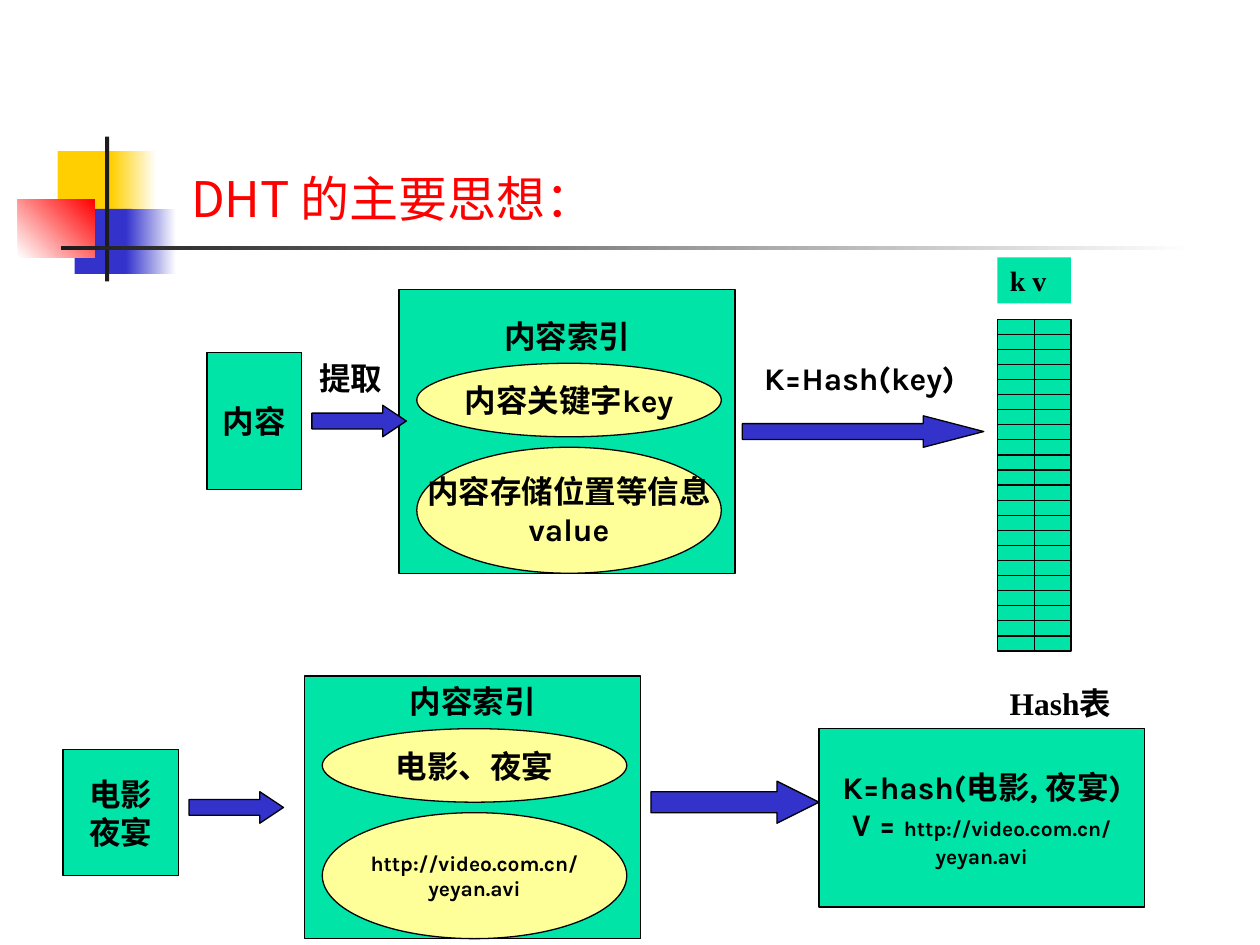
from dataclasses import dataclass
from typing import Optional

from lxml import etree
from pptx import Presentation
from pptx import util as u
from pptx.dml.color import RGBColor
from pptx.enum import shapes, text
from pptx.oxml import ns

COLUMNS, ROWS = 120, 90
GREEN, CREAM, BLUE = "00E4A8", "FFFF99", "3333CC"
YELLOW, RED, DARK, WHITE, BLACK = "FFCF01", "FF0000", "1C1C1C", "FFFFFF", "000000"
BODY, SERIF, CHINESE = "Karla", "Times New Roman", "Noto Sans CJK SC"
RECT, OVAL = shapes.MSO_SHAPE.RECTANGLE, shapes.MSO_SHAPE.OVAL
LEFT, CENTER = text.PP_ALIGN.LEFT, text.PP_ALIGN.CENTER

deck = Presentation()
deck.slide_width, deck.slide_height = u.Inches(10), u.Inches(7.5)
page = deck.slides.add_slide(deck.slide_layouts[5])


@dataclass
class Area:
    """A rectangle in columns and rows of the page grid."""
    left: float
    top: float
    width: float
    height: float

    def lengths(self) -> list[int]:
        column, row = deck.slide_width / COLUMNS, deck.slide_height / ROWS
        return [round(self.left * column), round(self.top * row),
                round(self.width * column), round(self.height * row)]


@dataclass
class Span:
    words: str
    size: float = 18
    font: str = BODY
    color: str = BLACK
    bold: bool = True


@dataclass
class Ornament:
    area: Area
    color: str
    fade_to: Optional[str] = None
    angle: float = 0


@dataclass
class Node:
    area: Area
    paras: list[list[Span]]
    kind: int = RECT
    fill: str = GREEN


@dataclass
class Label:
    area: Area
    span: Span
    align: int = CENTER
    fill: Optional[str] = None


@dataclass
class Arrow:
    area: Area
    head: float


def rgb(color: str) -> RGBColor:
    return RGBColor.from_string(color)


def write(frame, paras: list[list[Span]], align: int) -> None:
    for index, spans in enumerate(paras):
        para = frame.paragraphs[0] if index == 0 else frame.add_paragraph()
        para.alignment = align
        for span in spans:
            run = para.add_run()
            run.text = span.words
            font = run.font
            font.size, font.bold, font.name = u.Pt(span.size), span.bold, span.font
            font.color.rgb = rgb(span.color)
            east_asian = etree.SubElement(run._r.get_or_add_rPr(), ns.qn("a:ea"))
            east_asian.set("typeface", CHINESE)


def add_figure(canvas, kind: int, area: Area, fill: str, outlined: bool = True):
    figure = canvas.add_shape(kind, *area.lengths())
    figure.shadow.inherit = False
    figure.fill.solid()
    figure.fill.fore_color.rgb = rgb(fill)
    if outlined:
        figure.line.color.rgb = rgb(BLACK)
        figure.line.width = u.Pt(0.75)
    else:
        figure.line.fill.background()
    return figure


def draw_ornament(ornament: Ornament) -> None:
    figure = add_figure(page.shapes, RECT, ornament.area, ornament.color, outlined=False)
    if ornament.fade_to:
        figure.fill.gradient()
        figure.fill.gradient_angle = ornament.angle
        for stop, color in zip(figure.fill.gradient_stops, (ornament.color, ornament.fade_to)):
            stop.color.rgb = rgb(color)


def draw_node(node: Node) -> None:
    frame = add_figure(page.shapes, node.kind, node.area, node.fill).text_frame
    frame.word_wrap = False
    frame.vertical_anchor = text.MSO_ANCHOR.MIDDLE
    write(frame, node.paras, CENTER)


def draw_label(label: Label) -> None:
    box = page.shapes.add_textbox(*label.area.lengths())
    if label.fill:
        box.fill.solid()
        box.fill.fore_color.rgb = rgb(label.fill)
    box.text_frame.word_wrap = True
    write(box.text_frame, [[label.span]], label.align)


def draw_arrow(arrow: Arrow) -> None:
    figure = add_figure(page.shapes, shapes.MSO_SHAPE.RIGHT_ARROW, arrow.area, BLUE)
    figure.adjustments[0], figure.adjustments[1] = 0.5, arrow.head


def draw_index_panel(left: float, bottom: float, height: float,
                     key: list[list[Span]], value: list[list[Span]]) -> None:
    add_figure(page.shapes, RECT, Area(left, bottom - height, 32, height), GREEN)
    draw_node(Node(Area(left + 1.7, bottom - 20, 29, 7), key, OVAL, CREAM))
    draw_node(Node(Area(left + 1.7, bottom - 12, 29, 12), value, OVAL, CREAM))
    draw_label(Label(Area(left + 5, bottom - 25, 22, 4.8), Span("内容索引")))


def draw_hash_table(area: Area, slots: int) -> None:
    group = page.shapes.add_group_shape()
    add_figure(group.shapes, RECT, area, GREEN)
    left, top, width, height = area.lengths()
    rules = [(left, y, left + width, y)
             for y in (top + height * slot // slots for slot in range(1, slots))]
    rules.append((left + width // 2, top, left + width // 2, top + height))
    for ends in rules:
        rule = group.shapes.add_connector(shapes.MSO_CONNECTOR.STRAIGHT, *ends)
        rule.line.color.rgb = rgb(BLACK)
        rule.line.width = u.Pt(0.75)
        etree.SubElement(rule._element.spPr, ns.qn("a:effectLst"))


def place_title() -> None:
    title = page.shapes.title
    title.left, title.top, title.width, title.height = Area(17, 15.6, 103, 6.7).lengths()
    frame = title.text_frame
    frame.auto_size = text.MSO_AUTO_SIZE.NONE
    frame.vertical_anchor = text.MSO_ANCHOR.BOTTOM
    write(frame, [[Span("DHT 的主要思想：", 28, CHINESE, RED, False)]], LEFT)


ORNAMENTS = [
    Ornament(Area(5.5, 14.4, 5.8, 6.2), YELLOW),
    Ornament(Area(10.6, 14.4, 4.3, 6.2), YELLOW, WHITE),
    Ornament(Area(7.1, 19.9, 5.5, 6.2), BLUE),
    Ornament(Area(12, 19.9, 4.8, 6.2), BLUE, WHITE),
    Ornament(Area(1.7, 19, 7.3, 5.5), WHITE, RED, 45),
    Ornament(Area(10, 13, 0.4, 13.8), DARK),
    Ornament(Area(5.8, 23.4, 108, 0.4), DARK, WHITE),
]
ADDRESS = Span("http://video.com.cn/", 12)
FILE = Span("yeyan.avi", 12)
NODES = [
    Node(Area(19.7, 33.6, 9, 13), [[Span("内容")]]),
    Node(Area(6, 71.4, 11, 12), [[Span("电影")], [Span("夜宴")]]),
    Node(Area(78, 69.4, 31, 17),
         [[Span("K=hash(电影, 夜宴)")], [Span("V = "), ADDRESS], [FILE]]),
]
LABELS = [
    Label(Area(71.6, 33.6, 22.3, 4.8), Span("K=Hash(key)"), LEFT),
    Label(Area(28.7, 33.6, 9.4, 4.8), Span("提取")),
    Label(Area(95, 24.5, 7, 4.4), Span("k v", 16, SERIF), LEFT, GREEN),
    Label(Area(87, 64.6, 28, 4.8), Span("Hash表", font=SERIF)),
]
ARROWS = [
    Arrow(Area(29.7, 38.6, 9, 3), 0.75),
    Arrow(Area(70.7, 39.6, 23, 3), 1.92),
    Arrow(Area(18, 75.4, 9, 3), 0.75),
    Arrow(Area(62, 74.4, 16, 4), 1),
]

for item in ORNAMENTS:
    draw_ornament(item)
place_title()
draw_index_panel(38, 54.6, 27, [[Span("内容关键字key")]],
                 [[Span("内容存储位置等信息")], [Span("value")]])
draw_index_panel(29, 89.4, 25, [[Span("电影、夜宴")]], [[ADDRESS], [FILE]])
for item in NODES:
    draw_node(item)
for item in LABELS:
    draw_label(item)
for item in ARROWS:
    draw_arrow(item)
draw_hash_table(Area(95, 30.4, 7, 31.6), 22)
deck.save("out.pptx")
